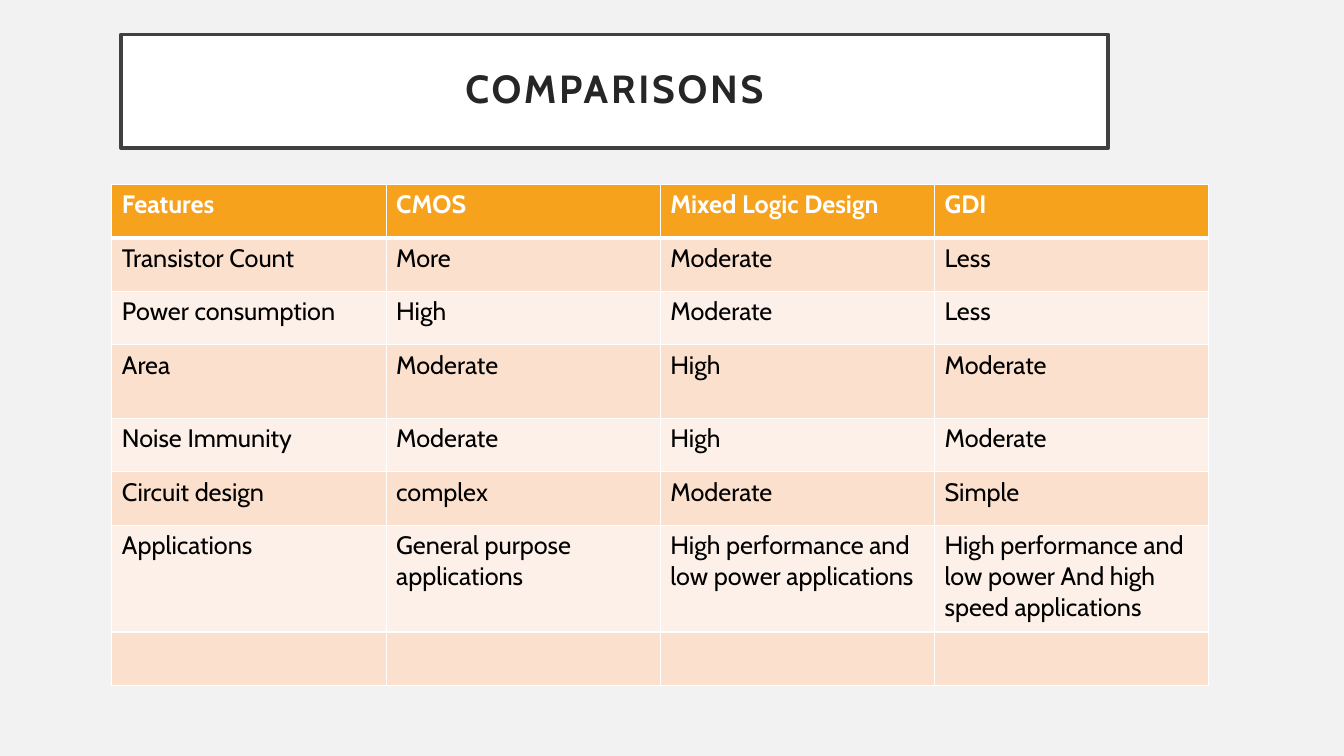
"""Build a slide comparing CMOS, mixed logic and GDI design styles."""
from lxml import etree
from pptx import Presentation
from pptx.dml.color import RGBColor
from pptx.enum.shapes import MSO_SHAPE
from pptx.enum.text import MSO_ANCHOR, PP_ALIGN
from pptx.oxml.ns import qn
from pptx.util import Inches, Pt

RECTANGLE = MSO_SHAPE.RECTANGLE
MIDDLE = MSO_ANCHOR.MIDDLE
CENTER = PP_ALIGN.CENTER

TITLE = "COMPARISONS"
ROWS = [
    ("Features", "CMOS", "Mixed Logic Design", "GDI"),
    ("Transistor Count", "More", "Moderate", "Less"),
    ("Power consumption", "High", "Moderate", "Less"),
    ("Area", "Moderate", "High", "Moderate"),
    ("Noise Immunity", "Moderate", "High", "Moderate"),
    ("Circuit design", "complex", "Moderate", "Simple"),
    (
        "Applications",
        "General purpose applications",
        "High performance and low power applications",
        "High performance and low power And high speed applications",
    ),
    ("", "", "", ""),
]
ROW_HEIGHT = 0.53
TALL_ROWS = {3: 0.73, 6: 1.06}
COLUMN_WIDTH = 2.72
FONT = "Cabin"
COLORS = {
    "background": "F2F2F2",
    "white": "FFFFFF",
    "header": "F6A21D",
    "odd": "FBE0CD",
    "even": "FDF0E8",
    "text": "000000",
    "title": "262626",
    "frame": "404040",
}


def color(name):
    return RGBColor.from_string(COLORS[name])


def style_font(font, size, name, bold):
    font.name = FONT
    font.size = Pt(size)
    font.bold = bold
    font.color.rgb = color(name)


def add_title(slide):
    box = slide.shapes.add_shape(
        RECTANGLE, Inches(1.2), Inches(0.34), Inches(9.79), Inches(1.13)
    )
    box.shadow.inherit = False
    box.fill.solid()
    box.fill.fore_color.rgb = color("white")
    box.line.color.rgb = color("frame")
    box.line.width = Pt(2.5)
    frame = box.text_frame
    frame.word_wrap = True
    frame.vertical_anchor = MIDDLE
    frame.margin_left = frame.margin_right = Inches(0.2)
    frame.margin_top = frame.margin_bottom = Inches(0.2)
    frame.text = TITLE
    para = frame.paragraphs[0]
    para.alignment = CENTER
    para.line_spacing = 0.9
    span = para.runs[0]
    style_font(span.font, 28, "title", True)
    span.font._element.set("spc", "200")


def add_borders(cell, row):
    properties = cell._tc.get_or_add_tcPr()
    widths = {"L": 1, "R": 1, "T": 3 if row == 1 else 1, "B": 3 if row == 0 else 1}
    for side, width in widths.items():
        line = etree.SubElement(properties, qn(f"a:ln{side}"), w=str(Pt(width)))
        fill = etree.SubElement(line, qn("a:solidFill"))
        etree.SubElement(fill, qn("a:srgbClr"), val=COLORS["white"])


def add_comparison(slide):
    heights = [TALL_ROWS.get(row, ROW_HEIGHT) for row in range(len(ROWS))]
    columns = len(ROWS[0])
    table = slide.shapes.add_table(
        len(ROWS), columns, Inches(1.11), Inches(1.83),
        Inches(COLUMN_WIDTH * columns), Inches(sum(heights)),
    ).table
    for column in table.columns:
        column.width = Inches(COLUMN_WIDTH)
    for row, texts in enumerate(ROWS):
        table.rows[row].height = Inches(heights[row])
        header = row == 0
        fill = "header" if header else ("even", "odd")[row % 2]
        for column, text in enumerate(texts):
            cell = table.cell(row, column)
            add_borders(cell, row)
            cell.fill.solid()
            cell.fill.fore_color.rgb = color(fill)
            cell.text = text
            for span in cell.text_frame.paragraphs[0].runs:
                style_font(span.font, 18, "white" if header else "text", header)


def main():
    deck = Presentation()
    deck.slide_width, deck.slide_height = Inches(13.33), Inches(7.5)
    slide = deck.slides.add_slide(deck.slide_layouts[6])
    slide.background.fill.solid()
    slide.background.fill.fore_color.rgb = color("background")
    add_comparison(slide)
    add_title(slide)
    deck.save("out.pptx")


if __name__ == "__main__":
    main()
